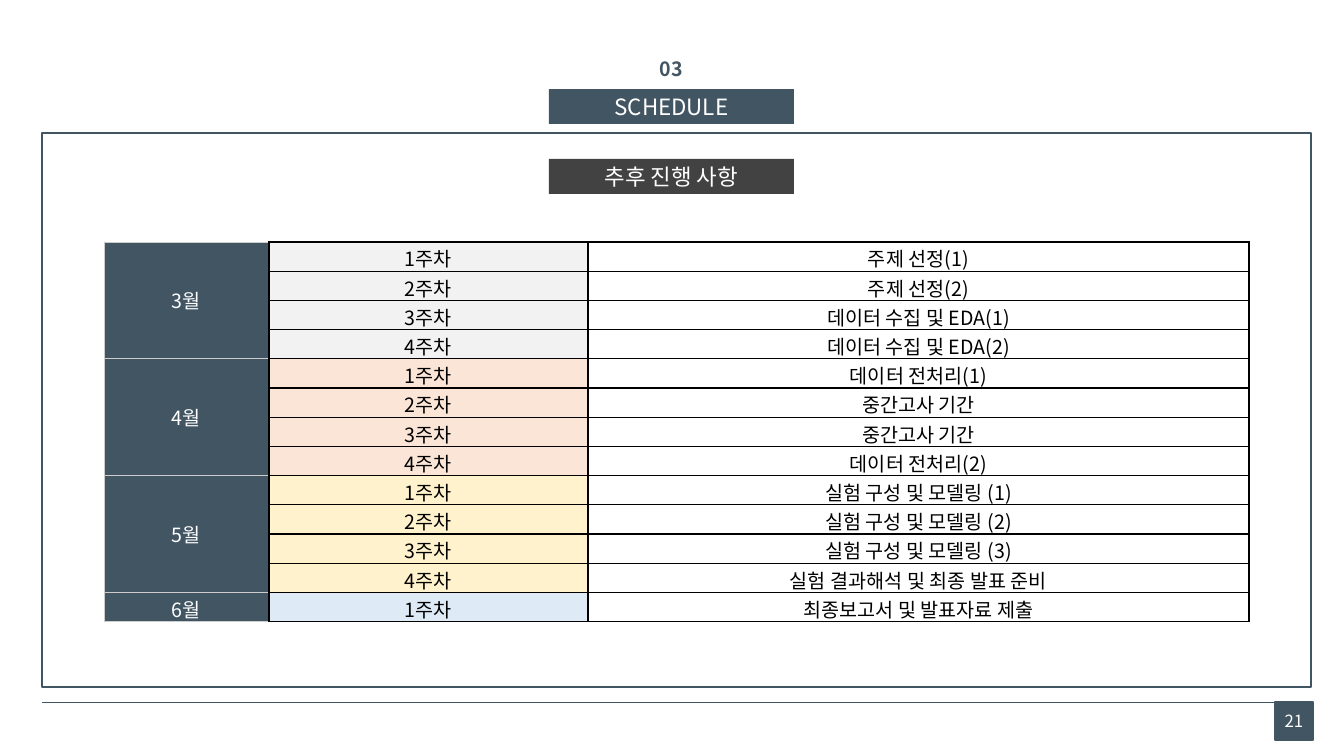
from pptx import Presentation
from pptx.dml.color import RGBColor as Color
from pptx.enum.shapes import MSO_CONNECTOR as Connector, MSO_SHAPE as Preset
from pptx.enum.text import MSO_ANCHOR as Anchor, MSO_AUTO_SIZE as AutoSize, PP_ALIGN as Align
from pptx.oxml.ns import qn
from pptx.util import Emu, Pt
from lxml.etree import SubElement

SCALE = 914400 / 100.8
FONT = "Noto Sans CJK KR"
COLORS = {
    "navy": "425563",
    "charcoal": "424242",
    "white": "FFFFFF",
    "black": "000000",
    "silver": "CCCCCC",
    "march": "F2F2F2",
    "april": "FBE5D6",
    "may": "FFF2CC",
    "june": "DEEBF7",
}
SCHEDULE = [
    ("3월", "march", ["주제 선정(1)", "주제 선정(2)", "데이터 수집 및 EDA(1)", "데이터 수집 및 EDA(2)"]),
    ("4월", "april", ["데이터 전처리(1)", "중간고사 기간", "중간고사 기간", "데이터 전처리(2)"]),
    ("5월", "may", ["실험 구성 및 모델링 (1)", "실험 구성 및 모델링 (2)", "실험 구성 및 모델링 (3)",
                   "실험 결과해석 및 최종 발표 준비"]),
    ("6월", "june", ["최종보고서 및 발표자료 제출"]),
]


def px(length):
    return Emu(round(length * SCALE))


def rgb(name):
    return Color.from_string(COLORS[name])


def write(frame, text, size=14, color="black", bold=False):
    paragraph = frame.paragraphs[0]
    paragraph.alignment = Align.CENTER
    run = paragraph.add_run()
    run.text = text
    font = run.font
    font.name, font.size, font.bold = FONT, Pt(size), bold
    font.color.rgb = rgb(color)
    SubElement(run._r.get_or_add_rPr(), qn("a:ea"), typeface=FONT)


class SlideBuilder:
    def __init__(self, presentation):
        self.slide = presentation.slides.add_slide(presentation.slide_layouts[5])
        self.shapes = self.slide.shapes

    def title(self, box, text, fill):
        shape = self.shapes.title
        shape.left, shape.top, shape.width, shape.height = map(px, box)
        shape.fill.solid()
        shape.fill.fore_color.rgb = rgb(fill)
        frame = shape.text_frame
        frame.auto_size = AutoSize.NONE
        frame.vertical_anchor = Anchor.MIDDLE
        write(frame, text, size=16, color="white")

    def rectangle(self, box, fill=None, line=None, text=None, size=16):
        shape = self.shapes.add_shape(Preset.RECTANGLE, *map(px, box))
        shape.shadow.inherit = False
        if fill:
            shape.fill.solid()
            shape.fill.fore_color.rgb = rgb(fill)
        else:
            shape.fill.background()
        if line:
            shape.line.color.rgb = rgb(line)
            shape.line.width = Pt(1)
        else:
            shape.line.fill.background()
        if text:
            frame = shape.text_frame
            frame.word_wrap = False
            frame.margin_left = frame.margin_right = 0
            frame.vertical_anchor = Anchor.MIDDLE
            write(frame, text, size=size, color="white")

    def label(self, box, text, **style):
        frame = self.shapes.add_textbox(*map(px, box)).text_frame
        frame.word_wrap = True
        frame.auto_size = AutoSize.SHAPE_TO_FIT_TEXT
        write(frame, text, **style)

    def rule(self, start, end, color):
        line = self.shapes.add_connector(Connector.STRAIGHT, *map(px, start + end))
        line.line.color.rgb = rgb(color)
        line.line.width = Pt(0.5)
        SubElement(line._element.spPr, qn("a:effectLst"))

    def cell(self, cell, text=None, fill=None, color="black", edge=("black", 1)):
        cell.margin_left = cell.margin_right = px(3)
        cell.margin_top = cell.margin_bottom = px(2)
        cell.vertical_anchor = Anchor.MIDDLE
        properties = cell._tc.get_or_add_tcPr()
        for side in "LRTB":
            name, width = ("black", 1) if side == "R" else edge
            border = SubElement(properties, qn(f"a:ln{side}"), w=str(Pt(width)))
            solid = SubElement(border, qn("a:solidFill"))
            SubElement(solid, qn("a:srgbClr"), val=COLORS[name])
        if fill:
            cell.fill.solid()
            cell.fill.fore_color.rgb = rgb(fill)
        else:
            cell.fill.background()
        if text:
            write(cell.text_frame, text, color=color)

    def schedule(self, box, widths, months):
        count = sum(len(tasks) for _, _, tasks in months)
        table = self.shapes.add_table(count, len(widths), *map(px, box)).table
        table.first_row = table.horz_banding = False
        for column, width in zip(table.columns, widths):
            column.width = px(width)
        for row in table.rows:
            row.height = px(box[3] / count)
        first = 0
        for month, tint, tasks in months:
            last = first + len(tasks) - 1
            for week, task in enumerate(tasks, 1):
                row = first + week - 1
                self.cell(table.cell(row, 0), month if week == 1 else None, fill="navy",
                          color="white", edge=("silver", 0.75))
                self.cell(table.cell(row, 1), f"{week}주차", fill=tint)
                self.cell(table.cell(row, 2), task)
            if last > first:
                table.cell(first, 0).merge(table.cell(last, 0))
            first = last + 1


def main():
    presentation = Presentation()
    presentation.slide_width, presentation.slide_height = px(1344), px(756)
    builder = SlideBuilder(presentation)
    builder.title((549, 89, 245, 35), "SCHEDULE", "navy")
    builder.rectangle((549, 159, 245, 35), fill="charcoal", text="추후 진행 사항")
    builder.rule((1311, 702), (42, 702), "navy")
    builder.rectangle((42, 133, 1269, 554), line="navy")
    builder.label((527, 52, 288, 34), "03", color="navy", bold=True)
    builder.schedule((104, 242, 1145, 380), (165, 319, 661), SCHEDULE)
    builder.rectangle((1275, 702, 38, 38), fill="navy", line="navy", text="21", size=12)
    presentation.save("out.pptx")


if __name__ == "__main__":
    main()
